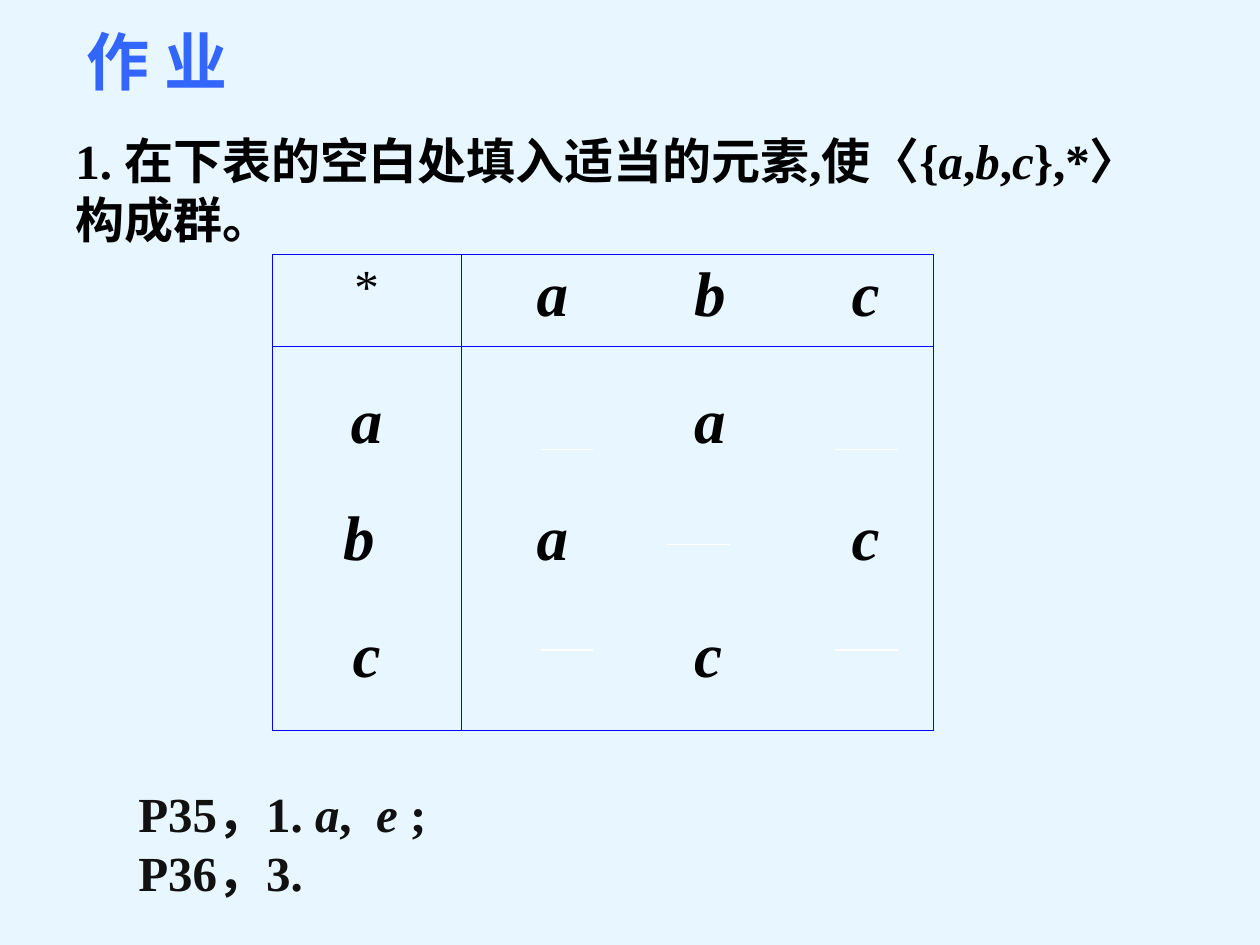
from lxml.etree import SubElement
from pptx import Presentation
from pptx.dml.color import RGBColor
from pptx.enum.shapes import MSO_CONNECTOR
from pptx.enum.text import MSO_ANCHOR, MSO_AUTO_SIZE, PP_ALIGN
from pptx.oxml import parse_xml
from pptx.oxml.ns import nsdecls, qn
from pptx.util import Inches, Pt

FONT = "Times New Roman"
PAPER, BLACK, INK = "E7F6FF", "000000", "111111"
BLUE, GRID, WHITE = "3366FF", "0000FF", "FFFFFF"
TABS = (0.5, 1.75, 3)


def color(code):
    return RGBColor.from_string(code)


class Page:
    def __init__(self, deck):
        self.slide = deck.slides.add_slide(deck.slide_layouts[5])
        fill = self.slide.background.fill
        fill.solid()
        fill.fore_color.rgb = color(PAPER)

    def style(self, run, size, tint, bold=True, slant=False):
        font = run.font
        font.name, font.size = FONT, Pt(size)
        font.bold, font.italic = bold, slant
        font.color.rgb = color(tint)

    def title(self, text, x, y, w, h):
        shape = self.slide.shapes.title
        shape.left, shape.top, shape.width, shape.height = map(Inches, (x, y, w, h))
        frame = shape.text_frame
        frame.text = text
        frame.vertical_anchor = MSO_ANCHOR.TOP
        frame.auto_size = MSO_AUTO_SIZE.NONE
        para = frame.paragraphs[0]
        para.alignment = PP_ALIGN.LEFT
        self.style(para.runs[0], 36, BLUE)

    def text(self, lines, x, y, w, h, tint, align=PP_ALIGN.LEFT):
        box = self.slide.shapes.add_textbox(*map(Inches, (x, y, w, h)))
        frame = box.text_frame
        frame.word_wrap = True
        frame.auto_size = MSO_AUTO_SIZE.SHAPE_TO_FIT_TEXT
        for row, parts in enumerate(lines):
            para = frame.add_paragraph() if row else frame.paragraphs[0]
            para.alignment = align
            for spot, part in enumerate(parts):
                run = para.add_run()
                run.text = part
                self.style(run, 28, tint, slant=spot % 2 == 1)

    def line(self, x, y, end):
        rule = self.slide.shapes.add_connector(
            MSO_CONNECTOR.STRAIGHT, *map(Inches, (x, y, end, y)))
        rule.line.color.rgb = color(WHITE)
        rule.line.width = Pt(0.75)
        SubElement(rule._element.spPr, qn("a:effectLst"))

    def border(self, cell):
        props = cell._tc.get_or_add_tcPr()
        for spot, side in enumerate("LRTB"):
            props.insert(spot, parse_xml(
                f'<a:ln{side} {nsdecls("a")} w="{Pt(0.45)}"><a:solidFill>'
                f'<a:srgbClr val="{GRID}"/></a:solidFill></a:ln{side}>'))

    def tabs(self, para):
        stops = SubElement(para._p.get_or_add_pPr(), qn("a:tabLst"))
        for stop in TABS:
            SubElement(stops, qn("a:tab"), pos=str(Inches(stop)), algn="l")

    def cell(self, cell, text, row, col):
        cell.fill.background()
        self.border(cell)
        cell.text_frame.text = text
        mark = text == "*"
        for spot, para in enumerate(cell.text_frame.paragraphs):
            para.alignment = PP_ALIGN.LEFT if col else PP_ALIGN.CENTER
            if row:
                para.line_spacing = 1.5
            if spot:
                para.space_before = Pt(7)
            if col:
                self.tabs(para)
            for run in para.runs:
                self.style(run, 28 if mark else 36, BLACK, not mark, not mark)

    def table(self, data, x, y, wide, tall):
        frame = self.slide.shapes.add_table(
            len(tall), len(wide), *map(Inches, (x, y, sum(wide), sum(tall))))
        table = frame.table
        table.first_row = table.horz_banding = False
        for col, size in enumerate(wide):
            table.columns[col].width = Inches(size)
        for row, size in enumerate(tall):
            table.rows[row].height = Inches(size)
            for col, text in enumerate(data[row]):
                self.cell(table.cell(row, col), text, row, col)


def main():
    deck = Presentation()
    deck.slide_width, deck.slide_height = Inches(10), Inches(7.5)
    page = Page(deck)
    page.title("作 业", 0.59, 0.13, 1.5, 0.7)
    page.table(
        [["*", "\ta\tb\tc"],
         ["a\nb \nc", "\t\ta\n\ta\t\tc\n\t\tc"]],
        2.16, 2.02, (1.5, 3.75), (0.73, 3.05))
    for y in (3.57, 5.16):
        page.line(4.29, y, 4.71)
        page.line(6.63, y, 7.13)
    page.line(5.29, 4.32, 5.79)
    page.text(
        [["1. 在下表的空白处填入适当的元素,使〈{", "a", ",", "b", ",", "c", "},*〉构成群。"]],
        0.5, 0.99, 8.75, 1.04, BLACK)
    page.text(
        [["P35，1. ", "a", ",  ", "e", " ;"], ["P36，3."]],
        1, 6.17, 3.76, 1.04, INK, PP_ALIGN.JUSTIFY)
    deck.save("out.pptx")


if __name__ == "__main__":
    main()
